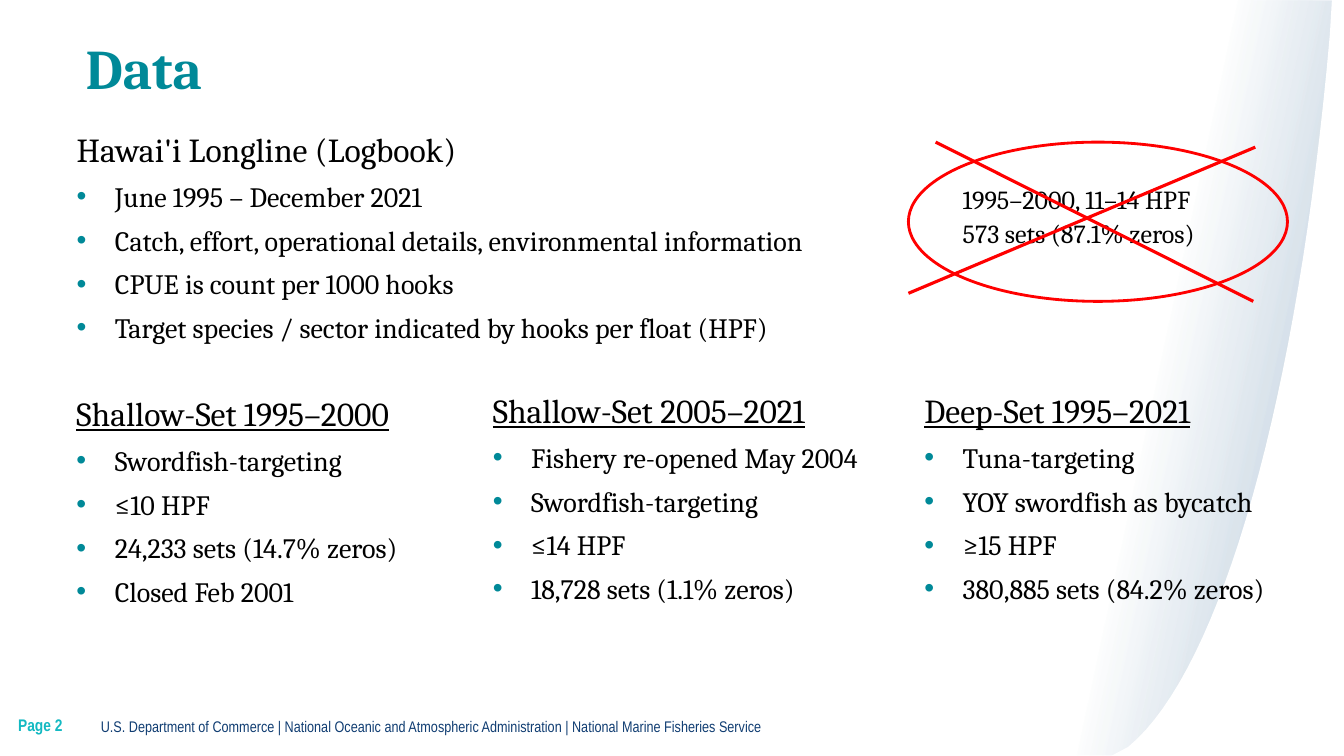
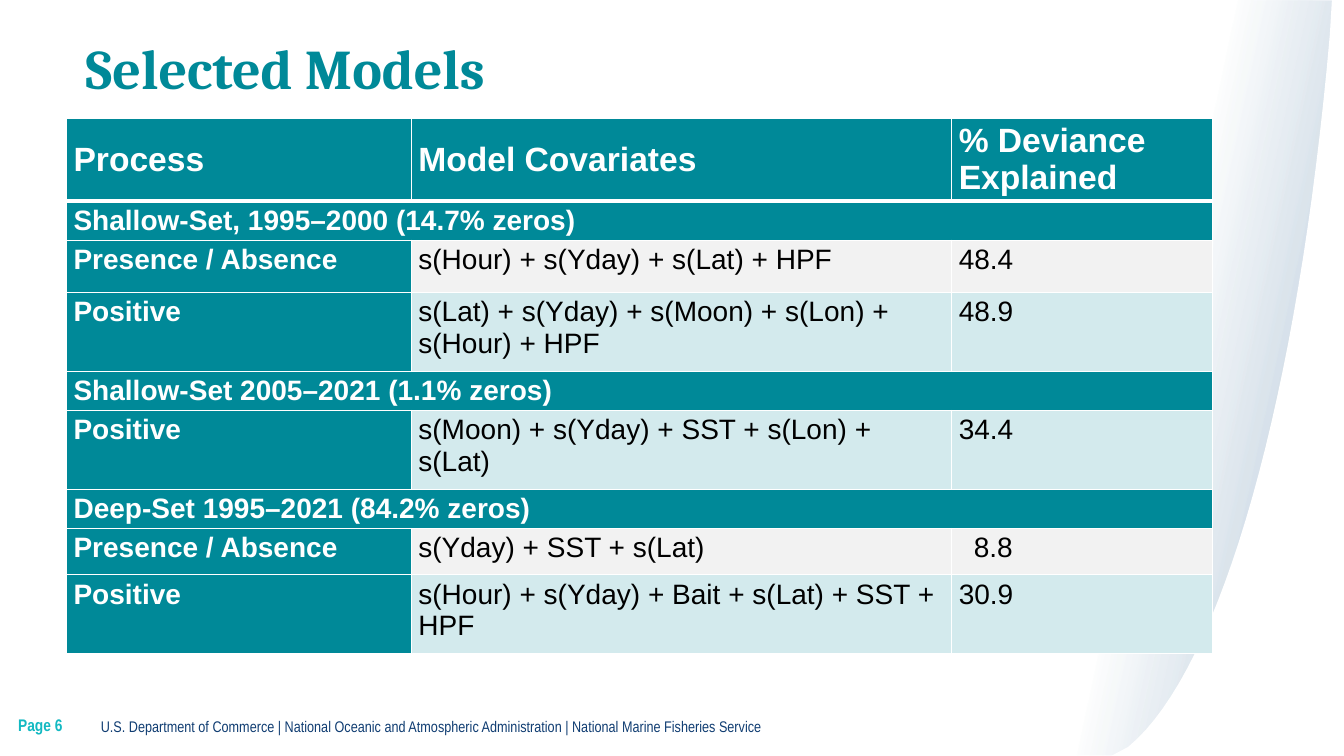
import pptx
import pptx.dml.color
import pptx.enum.shapes
import pptx.enum.text
import pptx.oxml
import pptx.oxml.ns
import pptx.util
import lxml.etree

Inches = pptx.util.Inches
Pt = pptx.util.Pt
qn = pptx.oxml.ns.qn
MIDDLE = pptx.enum.text.MSO_ANCHOR.MIDDLE
TOP = pptx.enum.text.MSO_ANCHOR.TOP

TEAL = "008998"
AQUA = "13B9C2"
NAVY = "103D72"
SWOOSH_BLUE = "07477D"
RED = "FF0000"
WHITE = "FFFFFF"
BLACK = "000000"
GREY_ROW = "F2F2F2"
TEAL_ROW = "D3EAED"
SERIF = "Cambria"
SANS = "Arial"
NARROW = "Arial Narrow"

SLIDE_SIZE = (13.33, 7.5)
TITLE_BOX = (0.75, 0.36, 11.5, 0.81)
FOOTER_BOX = (1, 6.91, 9.77, 0.59)
PAGE_BOX = (0.18, 6.89, 0.82, 0.61)
FOOTER = "U.S. Department of Commerce | National Oceanic and Atmospheric Administration | National Marine Fisheries Service"

SWOOSH_BAND = [(13.25, 7.5), (10.32, 7.49), (12.06, 0), (13.33, 0.01)]
SWOOSH_STOPS = [(0, 0), (42, 0), (100, 34)]
SWOOSH_ANGLE = 12
MASK_CORNERS = [(13.21, 0), (13.33, 0), (13.33, 7.5), (11.02, 7.5)]
MASK_CURVE = [(11.19, 7.41), (12.12, 6.64), (12.88, 3.91), (13.19, 0.34)]

LOGBOOK_BOX = (0.49, 1.11, 8.2, 2.47)
LOGBOOK = ("Hawai'i Longline (Logbook)", [
    "June 1995 – December 2021",
    "Catch, effort, operational details, environmental information",
    "CPUE is count per 1000 hooks",
    "Target species / sector indicated by hooks per float (HPF)",
])
SECTORS = [
    ((0.49, 3.73, 4.18, 2.59), "Shallow-Set 1995–2000",
     ["Swordfish-targeting", "≤10 HPF", "24,233 sets (14.7% zeros)", "Closed Feb 2001"]),
    ((4.62, 3.7, 4.26, 2.63), "Shallow-Set 2005–2021",
     ["Fishery re-opened May 2004", "Swordfish-targeting", "≤14 HPF", "18,728 sets (1.1% zeros)"]),
    ((8.9, 3.7, 4.18, 2.63), "Deep-Set 1995–2021",
     ["Tuna-targeting", "YOY swordfish as bycatch", "≥15 HPF", "380,885 sets (84.2% zeros)"]),
]
EXCLUDED_BOX = (9.28, 1.74, 4, 0.81)
EXCLUDED = ["1995–2000, 11–14 HPF", "573 sets (87.1% zeros)"]
EXCLUDED_OVAL = (9.01, 1.41, 3.76, 1.58)
CROSS_LINES = [(9.28, 1.41, 12.43, 2.99), (9.01, 2.91, 12.45, 1.46)]

TABLE_ORIGIN = (0.66, 1.17)
COLUMN_WIDTHS = [3.42, 5.36, 2.59]
HEADER_HEIGHT = 0.82
SECTION_HEIGHT = 0.39
DIGIT_WIDTH = 0.15
HEADERS = ["Process", "Model Covariates", "% Deviance Explained"]
MODELS = [
    ("Shallow-Set, 1995–2000 (14.7% zeros)", [
        ("Presence / Absence", "s(Hour) + s(Yday) + s(Lat) + HPF", "48.4", 0.52),
        ("Positive", "s(Lat) + s(Yday) + s(Moon) + s(Lon) + s(Hour) + HPF", "48.9", 0.78),
    ]),
    ("Shallow-Set 2005–2021 (1.1% zeros)", [
        ("Positive", "s(Moon) + s(Yday) + SST + s(Lon) + s(Lat)", "34.4", 0.78),
    ]),
    ("Deep-Set 1995–2021 (84.2% zeros)", [
        ("Presence / Absence", "s(Yday) + SST + s(Lat)", "8.8", 0.46),
        ("Positive", "s(Hour) + s(Yday) + Bait + s(Lat) + SST + HPF", "30.9", 0.78),
    ]),
]


def rgb(value):
    return pptx.dml.color.RGBColor.from_string(value)


def inches(values):
    return [Inches(value) for value in values]


def place(shape, box):
    shape.left, shape.top, shape.width, shape.height = inches(box)


def format_runs(paragraph, font, size, color, bold=False, underline=False):
    for run in paragraph.runs:
        run.font.name = font
        run.font.size = Pt(size)
        run.font.color.rgb = rgb(color)
        run.font.bold = bold
        run.font.underline = underline


def set_frame(frame, margins, anchor=TOP):
    frame.word_wrap = True
    frame.auto_size = pptx.enum.text.MSO_AUTO_SIZE.NONE
    frame.vertical_anchor = anchor
    horizontal, vertical = inches(margins)
    frame.margin_left = frame.margin_right = horizontal
    frame.margin_top = frame.margin_bottom = vertical


def indent(paragraph, left, first, bullet=False):
    properties = paragraph._p.get_or_add_pPr()
    properties.set("marL", str(Inches(left)))
    properties.set("indent", str(Inches(first)))
    if bullet:
        color = lxml.etree.SubElement(properties, qn("a:buClr"))
        lxml.etree.SubElement(color, qn("a:srgbClr"), val=TEAL)
        lxml.etree.SubElement(properties, qn("a:buFont"), typeface=SANS)
        lxml.etree.SubElement(properties, qn("a:buChar"), char="•")
    else:
        lxml.etree.SubElement(properties, qn("a:buNone"))
    paragraph.space_before = Pt(0)


def fill_list(frame, heading, items, underline=False):
    set_frame(frame, (0.1, 0.05))
    frame.text = "\n".join([heading] + items)
    for index, paragraph in enumerate(frame.paragraphs):
        if index == 0:
            indent(paragraph, 0.2, -0.03)
            format_runs(paragraph, SERIF, 24, BLACK, underline=underline)
        else:
            indent(paragraph, 0.55, -0.38, bullet=True)
            format_runs(paragraph, SERIF, 20, BLACK)
        paragraph.line_spacing = 1.3


def add_label(slide, box, text, margins, size, color, bold=False):
    label = slide.shapes.add_textbox(*inches(box))
    set_frame(label.text_frame, margins, MIDDLE)
    label.text_frame.text = text
    format_runs(label.text_frame.paragraphs[0], NARROW, size, color, bold)
    return label


def add_outline(slide, points):
    start, *others = [tuple(inches(point)) for point in points]
    builder = slide.shapes.build_freeform(*start, scale=1.0)
    builder.add_line_segments(others, close=True)
    shape = builder.convert_to_shape()
    shape.shadow.inherit = False
    shape.fill.solid()
    shape.fill.fore_color.rgb = rgb(WHITE)
    shape.line.fill.background()
    return shape


def curve_points(controls, steps=32):
    for step in range(steps + 1):
        t = step / steps
        weights = ((1 - t) ** 3, 3 * t * (1 - t) ** 2, 3 * t * t * (1 - t), t ** 3)
        yield tuple(sum(w * point[axis] for w, point in zip(weights, controls)) for axis in (0, 1))


def set_fading_fill(shape):
    stops = "".join(
        f'<a:gs pos="{position * 1000}"><a:srgbClr val="{SWOOSH_BLUE}">'
        f'<a:alpha val="{alpha * 1000}"/></a:srgbClr></a:gs>'
        for position, alpha in SWOOSH_STOPS)
    gradient = pptx.oxml.parse_xml(
        f'<a:gradFill {pptx.oxml.ns.nsdecls("a")} rotWithShape="1"><a:gsLst>{stops}</a:gsLst>'
        f'<a:lin ang="{SWOOSH_ANGLE * 60000}" scaled="0"/></a:gradFill>')
    properties = shape._element.spPr
    properties.replace(properties.find(qn("a:solidFill")), gradient)


def decorate_master(presentation, slide):
    band = add_outline(slide, SWOOSH_BAND)
    set_fading_fill(band)
    mask = add_outline(slide, MASK_CORNERS + list(curve_points(MASK_CURVE)))
    footer = add_label(slide, FOOTER_BOX, FOOTER, (0, 0.05), 11, NAVY)
    tree = presentation.slide_master.shapes._spTree
    for index, shape in enumerate((band, mask, footer)):
        shape._element.nvSpPr.cNvPr.set("id", str(101 + index))
        tree.insert(2 + index, shape._element)


def add_slide(presentation, layout_index, title, page):
    slide = presentation.slides.add_slide(presentation.slide_layouts[layout_index])
    heading = slide.shapes.title
    place(heading, TITLE_BOX)
    set_frame(heading.text_frame, (0.1, 0.05))
    heading.text_frame.text = title
    paragraph = heading.text_frame.paragraphs[0]
    paragraph.alignment = pptx.enum.text.PP_ALIGN.LEFT
    paragraph.line_spacing = 0.9
    format_runs(paragraph, SERIF, 40, TEAL, bold=True)
    add_label(slide, PAGE_BOX, f"Page {page}", (0, 0), 12, AQUA, bold=True)
    return slide


def add_excluded_note(slide):
    note = slide.shapes.add_textbox(*inches(EXCLUDED_BOX))
    set_frame(note.text_frame, (0.1, 0.05))
    note.text_frame.text = "\n".join(EXCLUDED)
    for paragraph in note.text_frame.paragraphs:
        indent(paragraph, 0.2, -0.03)
        paragraph.line_spacing = 1.1
        format_runs(paragraph, SERIF, 18.6, BLACK)
    oval = slide.shapes.add_shape(pptx.enum.shapes.MSO_SHAPE.OVAL, *inches(EXCLUDED_OVAL))
    oval.shadow.inherit = False
    oval.fill.background()
    oval.line.color.rgb = rgb(RED)
    oval.line.width = Pt(2)
    for ends in CROSS_LINES:
        line = slide.shapes.add_connector(pptx.enum.shapes.MSO_CONNECTOR.STRAIGHT, *inches(ends))
        line.line.color.rgb = rgb(RED)
        line.line.width = Pt(2.25)
        lxml.etree.SubElement(line._element.spPr, qn("a:effectLst"))


def style_cell(cell, fill, size=20, top=1, bottom=1):
    cell.margin_left = cell.margin_right = Inches(0.07)
    cell.margin_top = cell.margin_bottom = Inches(0.04)
    properties = cell._tc.get_or_add_tcPr()
    for side, width in (("L", 1), ("R", 1), ("T", top), ("B", bottom)):
        border = lxml.etree.SubElement(properties, qn(f"a:ln{side}"), w=str(Pt(width)))
        solid = lxml.etree.SubElement(border, qn("a:solidFill"))
        lxml.etree.SubElement(solid, qn("a:srgbClr"), val=WHITE)
    cell.fill.solid()
    cell.fill.fore_color.rgb = rgb(fill)
    strong = fill == TEAL
    format_runs(cell.text_frame.paragraphs[0], SANS, size, WHITE if strong else BLACK, strong)


def add_models_table(slide):
    rows = [(HEADERS, HEADER_HEIGHT)]
    for section, models in MODELS:
        rows.append(([section], SECTION_HEIGHT))
        rows += [(model[:3], model[3]) for model in models]
    size = (sum(COLUMN_WIDTHS), sum(height for _, height in rows))
    frame = slide.shapes.add_table(len(rows), len(COLUMN_WIDTHS), *inches(TABLE_ORIGIN + size))
    table = frame.table
    table.horz_banding = False
    for column, width in zip(table.columns, COLUMN_WIDTHS):
        column.width = Inches(width)
    for index, (texts, height) in enumerate(rows):
        table.rows[index].height = Inches(height)
        header, section = index == 0, len(texts) == 1
        if section:
            table.cell(index, 0).merge(table.cell(index, len(COLUMN_WIDTHS) - 1))
        body_fill = GREY_ROW if texts[0].startswith("Presence") else TEAL_ROW
        for number in range(len(COLUMN_WIDTHS)):
            cell = table.cell(index, number)
            if number < len(texts):
                cell.text = texts[number]
            fill = TEAL if header or section or number == 0 else body_fill
            style_cell(cell, fill, 24 if header else 20, 3 if index == 1 else 1, 3 if header else 1)
            if header:
                cell.vertical_anchor = MIDDLE
            elif number == 2 and not section:
                cell.margin_left += Inches(DIGIT_WIDTH * (4 - len(texts[number])))


def main():
    presentation = pptx.Presentation()
    presentation.slide_width, presentation.slide_height = inches(SLIDE_SIZE)

    data = add_slide(presentation, 1, "Data", 2)
    decorate_master(presentation, data)
    body = data.placeholders[1]
    place(body, LOGBOOK_BOX)
    fill_list(body.text_frame, *LOGBOOK)
    for box, heading, items in SECTORS:
        column = data.shapes.add_textbox(*inches(box))
        fill_list(column.text_frame, heading, items, underline=True)
    add_excluded_note(data)

    selected = add_slide(presentation, 5, "Selected Models", 6)
    add_models_table(selected)
    presentation.save("out.pptx")


if __name__ == "__main__":
    main()
